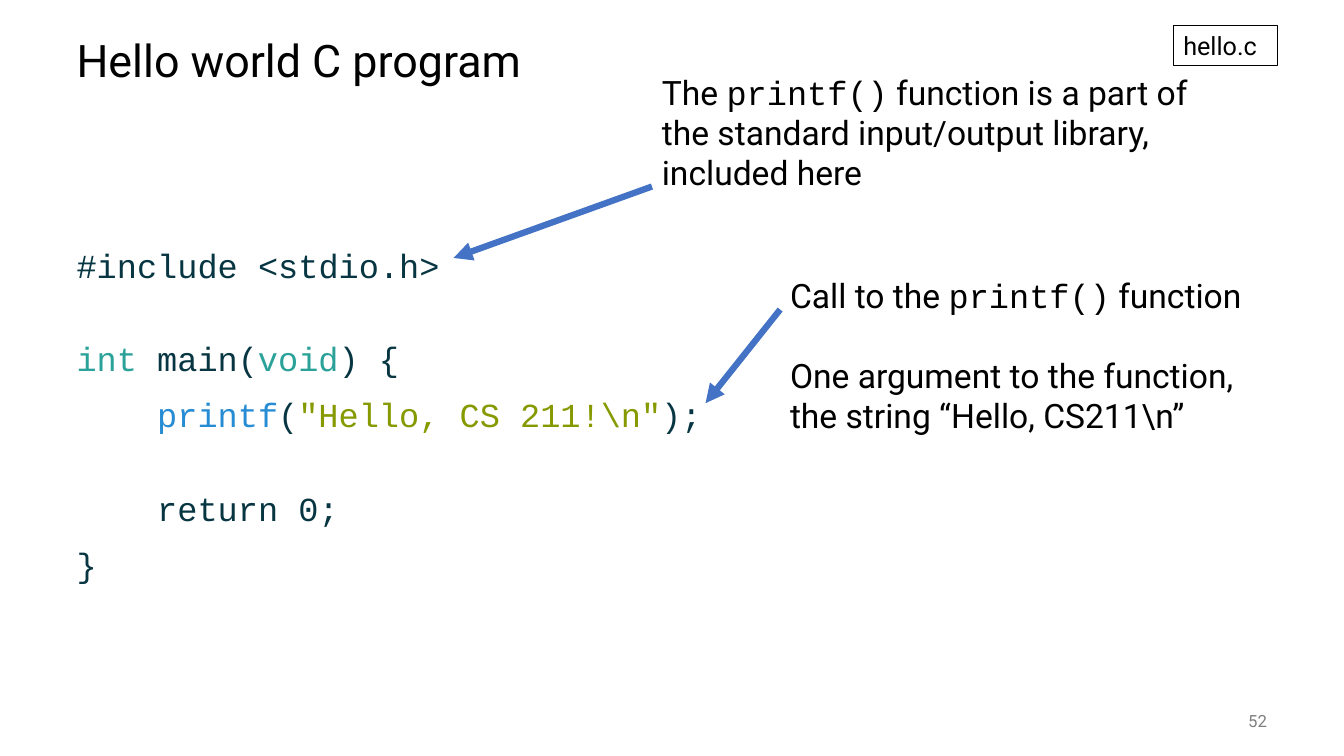
import pptx
import pptx.dml.color
import pptx.enum.shapes
import pptx.enum.text
import pptx.oxml
import pptx.oxml.ns
import pptx.util
from pptx.enum.text import MSO_ANCHOR, PP_ALIGN
from pptx.util import Cm, Pt

SANS, MONO = "Roboto", "Courier New"
BLACK, GRAY, ARROW_BLUE = "000000", "808080", "4472C4"
DARK, TEAL, BLUE, GREEN = "073642", "2AA299", "268CD3", "869A00"


def color(hex_string):
    return pptx.dml.color.RGBColor.from_string(hex_string)


class SlideBuilder:
    """Holds the text style and the current slide."""

    def __init__(self, slide, size=24, font=SANS, ink=BLACK):
        self.slide = slide
        self.size = size
        self.font = font
        self.ink = ink

    def add_run(self, paragraph, text, size=None, font=None, ink=None):
        run = paragraph.add_run()
        run.text = text
        run.font.size = Pt(size or self.size)
        run.font.name = font or self.font
        run.font.color.rgb = color(ink or self.ink)

    def fill_frame(self, frame, paragraphs, size=None, ink=None, gaps=(),
                   line_spacing=None, align=PP_ALIGN.LEFT, anchor=MSO_ANCHOR.TOP):
        """Each paragraph is a list of (text, font, ink); gaps lie between them."""
        frame.word_wrap = True
        frame.vertical_anchor = anchor
        for index, runs in enumerate(paragraphs):
            paragraph = frame.add_paragraph() if index else frame.paragraphs[0]
            paragraph.alignment = align
            paragraph.line_spacing = line_spacing
            if index:
                paragraph.space_before = Pt(gaps[index - 1])
            for text, font, run_ink in runs:
                self.add_run(paragraph, text, size, font, run_ink or ink)

    def text(self, left, top, width, height, paragraphs, **style):
        shape = self.slide.shapes.add_textbox(Cm(left), Cm(top), Cm(width), Cm(height))
        self.fill_frame(shape.text_frame, paragraphs, **style)

    def outlined_box(self, left, top, width, height, paragraphs, **style):
        shape = self.slide.shapes.add_shape(
            pptx.enum.shapes.MSO_SHAPE.RECTANGLE, Cm(left), Cm(top), Cm(width), Cm(height))
        shape.shadow.inherit = False
        shape.fill.background()
        shape.line.color.rgb = color(BLACK)
        shape.line.width = Pt(0.75)
        self.fill_frame(shape.text_frame, paragraphs, **style)

    def arrow(self, start_x, start_y, end_x, end_y):
        connector = self.slide.shapes.add_connector(
            pptx.enum.shapes.MSO_CONNECTOR.STRAIGHT,
            Cm(start_x), Cm(start_y), Cm(end_x), Cm(end_y))
        connector.line.color.rgb = color(ARROW_BLUE)
        connector.line.width = Pt(4.5)
        tail = pptx.oxml.parse_xml(
            f'<a:tailEnd {pptx.oxml.ns.nsdecls("a")} type="triangle"/>')
        connector.line._get_or_add_ln().append(tail)
        effects = pptx.oxml.parse_xml(f'<a:effectLst {pptx.oxml.ns.nsdecls("a")}/>')
        connector._element.spPr.append(effects)


def plain(text):
    return (text, SANS, None)


def code(text, ink=None):
    return (text, MONO, ink)


def main():
    presentation = pptx.Presentation()
    presentation.slide_width = Cm(33.87)
    presentation.slide_height = Cm(19.05)
    slide = presentation.slides.add_slide(presentation.slide_layouts[6])
    builder = SlideBuilder(slide)

    # Title
    builder.text(1.68, 0.64, 30.48, 1.9, [[plain("Hello world C program")]],
                 size=32, line_spacing=0.9, anchor=MSO_ANCHOR.MIDDLE)

    # Program listing, with a wider gap where a line is skipped
    next_line, skipped_line = 14, 41
    builder.text(1.68, 6.15, 30.48, 11, [
        [code("#include <stdio.h>")],
        [code("int ", TEAL), code("main("), code("void", TEAL), code(") {")],
        [code("    printf", BLUE), code("("),
         code('"Hello, CS 211!\\n"', GREEN), code(");")],
        [code("    return 0;")],
        [code("}")],
    ], ink=DARK, line_spacing=0.9,
        gaps=(skipped_line, next_line, skipped_line, next_line))

    # Page number
    builder.text(29.64, 17.65, 2.54, 1.02, [[plain("52")]], size=12, ink=GRAY,
                 align=PP_ALIGN.RIGHT, anchor=MSO_ANCHOR.MIDDLE)

    # Note on the call
    builder.text(19.66, 6.81, 11.99, 4.37, [
        [plain("Call to the "), code("printf()"), plain(" function")],
        [plain("One argument to the function, the string “Hello, CS211\\n”")],
    ], gaps=(28,))
    builder.arrow(19.66, 7.8, 17.78, 10.16)

    # Note on the library
    builder.text(16.43, 1.68, 14.1, 3.33, [[
        plain("The "), code("printf()"),
        plain(" function is a part of the standard input/output library, included here"),
    ]])
    builder.arrow(16.43, 4.7, 11.43, 6.5)

    # File name
    builder.outlined_box(29.57, 0.64, 2.62, 1.02, [[plain("hello.c")]], size=18)

    presentation.save("out.pptx")


if __name__ == "__main__":
    main()
